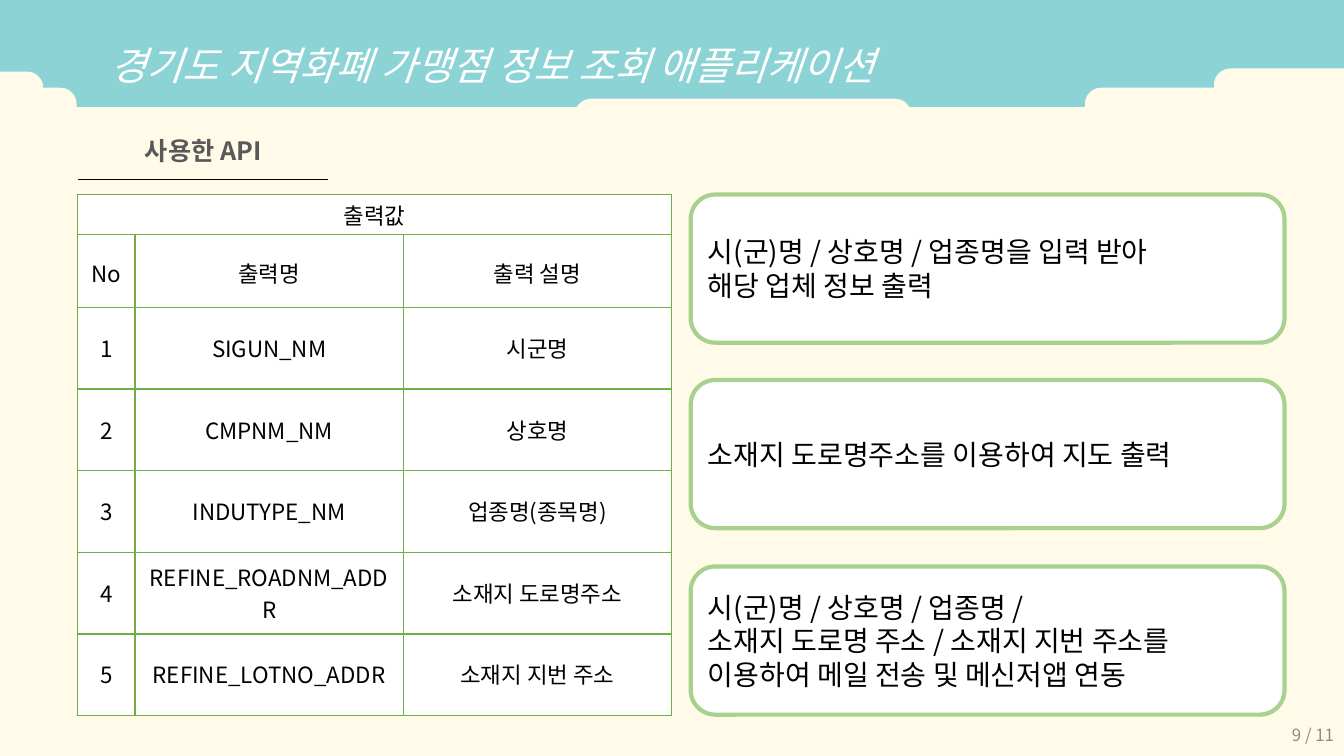
"""Build the slide on the API used by the local currency store finder."""
from math import cos, radians, sin

from lxml.etree import SubElement
from pptx import Presentation
from pptx.dml.color import RGBColor
from pptx.enum.shapes import MSO_CONNECTOR, MSO_SHAPE
from pptx.enum.text import MSO_ANCHOR, PP_ALIGN
from pptx.oxml import parse_xml
from pptx.oxml.ns import nsdecls, qn
from pptx.util import Pt

PX = 9144
FONT = "Noto Sans CJK KR"
CREAM = RGBColor(0xFF, 0xFB, 0xE8)
TEAL = RGBColor(0x8C, 0xD3, 0xD5)
WHITE = RGBColor(0xFF, 0xFF, 0xFF)
BLACK = RGBColor(0, 0, 0)
DARK_GRAY = RGBColor(0x59, 0x59, 0x59)
LIGHT_GRAY = RGBColor(0x8C, 0x8C, 0x8C)
GRID_GREEN = RGBColor(0x70, 0xAD, 0x47)
CARD_GREEN = RGBColor(0xA9, 0xD1, 0x8E)


def px(*lengths):
    return [round(length * PX) for length in lengths]


def write(frame, lines, size, color, align=PP_ALIGN.LEFT, **styles):
    frame.vertical_anchor = MSO_ANCHOR.MIDDLE
    frame.word_wrap = True
    for index, line in enumerate(lines):
        paragraph = frame.add_paragraph() if index else frame.paragraphs[0]
        paragraph.alignment = align
        run = paragraph.add_run()
        run.text = line
        run.font.color.rgb = color
        for key, value in {"size": Pt(size), "name": FONT, **styles}.items():
            setattr(run.font, key, value)
        SubElement(run.font._element, qn("a:ea"), typeface=FONT)


prs = Presentation()
prs.slide_width, prs.slide_height = px(1333, 750)
slide = prs.slides.add_slide(prs.slide_layouts[6])
slide.background.fill.solid()
slide.background.fill.fore_color.rgb = CREAM
shapes = slide.shapes

CLOUD_RADIUS = 16
cloud_steps = [
    (1220, 84, -90, -180, (1204, 87)),
    (1092, 103, -90, -180, (1076, 106)),
    (888, 114, -30, -90, None),
    (586, 114, -90, -150, (76, 106)),
    (60, 103, 0, -90, None),
    (27, 87, 0, -90, (0, 71)),
]
outline = [(1333, 0), (1333, 68)]
for x, y, start, end, corner in cloud_steps:
    for step in range(9):
        angle = radians(start + (end - start) * step / 8)
        outline.append((x + CLOUD_RADIUS * cos(angle), y + CLOUD_RADIUS * sin(angle)))
    if corner:
        outline.append(corner)
builder = shapes.build_freeform(0, 0)
builder.add_line_segments([px(*point) for point in outline], close=True)
header = builder.convert_to_shape()
header.shadow.inherit = False
header.fill.solid()
header.fill.fore_color.rgb = TEAL
header.line.fill.background()
write(header.text_frame, ["경기도 지역화폐 가맹점 정보 조회 애플리케이션"], 28, WHITE, italic=True)
title = header.text_frame.paragraphs[0]
title.level = 2
title.line_spacing = 1.5
title._p.get_or_add_pPr().set("marL", str(100 * PX))

underline = shapes.add_connector(MSO_CONNECTOR.STRAIGHT, *px(77, 178, 325, 178))
underline.line.color.rgb = BLACK
underline.line.width = Pt(1)
SubElement(underline._element.spPr, qn("a:effectLst"))

heading = shapes.add_textbox(*px(93, 120, 217, 58))
write(heading.text_frame, ["사용한 API"], 18, DARK_GRAY, PP_ALIGN.CENTER, bold=True)

output_rows = [
    ("출력값", "", ""),
    ("No", "출력명", "출력 설명"),
    ("1", "SIGUN_NM", "시군명"),
    ("2", "CMPNM_NM", "상호명"),
    ("3", "INDUTYPE_NM", "업종명(종목명)"),
    ("4", "REFINE_ROADNM_ADDR", "소재지 도로명주소"),
    ("5", "REFINE_LOTNO_ADDR", "소재지 지번 주소"),
]
row_heights = [40, 72] + [81] * 5
bottom_margins = [4, 1] + [5] * 5
outputs = shapes.add_table(len(output_rows), 3, *px(77, 193, 589, sum(row_heights))).table
outputs.first_row = outputs.horz_banding = False
for column, width in zip(outputs.columns, px(57, 266, 266)):
    column.width = width
outputs.cell(0, 0).merge(outputs.cell(0, 2))
for row, (texts, height, bottom) in enumerate(zip(output_rows, row_heights, bottom_margins)):
    outputs.rows[row].height = height * PX
    for col, text in enumerate(texts):
        cell = outputs.cell(row, col)
        cell.vertical_anchor = MSO_ANCHOR.MIDDLE
        cell.margin_left, cell.margin_top, cell.margin_right, cell.margin_bottom = px(8, 4, 8, bottom)
        if text:
            write(cell.text_frame, [text], 16, BLACK, PP_ALIGN.CENTER)
        borders = cell._tc.get_or_add_tcPr()
        for side in ("lnL", "lnR", "lnT", "lnB"):
            borders.append(parse_xml(
                f'<a:{side} {nsdecls("a")} w="{Pt(1)}"><a:solidFill>'
                f'<a:srgbClr val="{GRID_GREEN}"/></a:solidFill></a:{side}>'))
        cell.fill.solid()
        cell.fill.fore_color.rgb = WHITE

features = [
    ["시(군)명 / 상호명 / 업종명을 입력 받아", "해당 업체 정보 출력"],
    ["소재지 도로명주소를 이용하여 지도 출력"],
    ["시(군)명 / 상호명 / 업종명 /", "소재지 도로명 주소 / 소재지 지번 주소를",
     "이용하여 메일 전송 및 메신저앱 연동"],
]
for index, lines in enumerate(features):
    card = shapes.add_shape(MSO_SHAPE.ROUNDED_RECTANGLE, *px(685, 193 + index * 369 // 2, 589, 147))
    card.shadow.inherit = False
    card.fill.solid()
    card.fill.fore_color.rgb = WHITE
    card.line.color.rgb = CARD_GREEN
    card.line.width = Pt(3)
    write(card.text_frame, lines, 20, BLACK)

page_number = shapes.add_textbox(*px(1033, 709, 300, 40))
write(page_number.text_frame, ["9 / 11"], 12, LIGHT_GRAY, PP_ALIGN.RIGHT)

prs.save("out.pptx")
